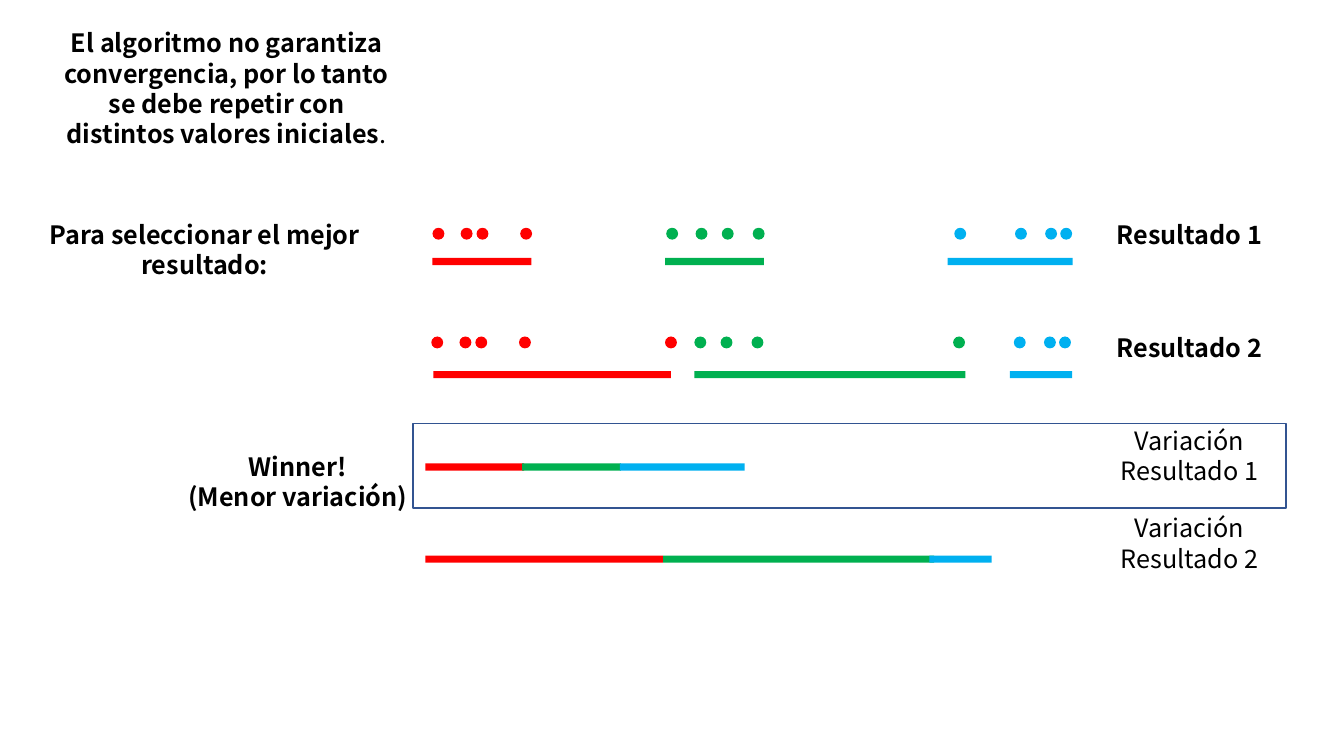
from dataclasses import dataclass

import pptx
import pptx.dml.color
import pptx.enum.shapes
import pptx.enum.text
import pptx.shapes.autoshape
import pptx.slide
import pptx.util

Cm = pptx.util.Cm
Pt = pptx.util.Pt
RGBColor = pptx.dml.color.RGBColor
Shape = pptx.enum.shapes.MSO_SHAPE

RED = RGBColor(0xFF, 0x00, 0x00)
GREEN = RGBColor(0x00, 0xB0, 0x50)
BLUE = RGBColor(0x00, 0xB0, 0xF0)
BLACK = RGBColor(0x00, 0x00, 0x00)
FRAME_BLUE = RGBColor(0x32, 0x54, 0x91)
CLUSTER_COLORS = (RED, GREEN, BLUE)

FONT = "Noto Sans CJK SC"
DOT_SIZE = 0.3
BAR_HEIGHT = 0.18
DOT_LEFTS = (10.9, 11.61, 12.01, 13.11, 16.79, 17.53,
             18.19, 18.97, 24.05, 25.58, 26.34, 26.72)
LABEL_LEFT, LABEL_WIDTH = 27.53, 4.9


@dataclass(frozen=True)
class Run:
    text: str
    bold: bool = True


@dataclass(frozen=True)
class Label:
    left: float
    top: float
    width: float
    height: float
    paragraphs: tuple[tuple[Run, ...], ...]


@dataclass(frozen=True)
class Result:
    """One clustering: its dots, the span of each cluster, and the spans laid end to end."""
    dot_shift: float
    dot_top: float
    cluster_sizes: tuple[int, ...]
    widths: tuple[float, ...]
    span_top: float
    span_lefts: tuple[float, ...]
    variation_top: float
    variation_lefts: tuple[float, ...]


RESULTS = (
    Result(0, 5.74, (4, 4, 4), (2.49, 2.49, 3.15),
           6.5, (10.9, 16.76, 23.88), 11.68, (10.72, 13.16, 15.62)),
    Result(-0.03, 8.48, (5, 4, 3), (5.99, 6.83, 1.57),
           9.35, (10.92, 17.5, 25.45), 14.0, (10.72, 16.71, 23.42)),
)

LABELS = (
    Label(1.19, 0.58, 9.04, 3.33, ((
        Run("El algoritmo no garantiza convergencia, por lo tanto "
            "se debe repetir con distintos valores iniciales"),
        Run(".", bold=False)),)),
    Label(0.64, 5.41, 9.04, 1.8, ((Run("Para seleccionar el mejor resultado:"),),)),
    Label(LABEL_LEFT, 5.41, LABEL_WIDTH, 1.02, ((Run("Resultado 1"),),)),
    Label(LABEL_LEFT, 8.26, LABEL_WIDTH, 1.02, ((Run("Resultado 2"),),)),
    Label(LABEL_LEFT, 10.59, LABEL_WIDTH, 1.8, ((Run("Variación Resultado 1", bold=False),),)),
    Label(LABEL_LEFT, 12.8, LABEL_WIDTH, 1.8, ((Run("Variación Resultado 2", bold=False),),)),
    Label(4.42, 11.25, 6.17, 1.8, ((Run("Winner!"),), (Run("(Menor variación)"),))),
)


def add_plain_shape(slide: pptx.slide.Slide, kind: Shape, left: float, top: float,
                    width: float, height: float) -> pptx.shapes.autoshape.Shape:
    shape = slide.shapes.add_shape(kind, Cm(left), Cm(top), Cm(width), Cm(height))
    shape.shadow.inherit = False
    return shape


def add_filled_shape(slide: pptx.slide.Slide, kind: Shape, left: float, top: float,
                     width: float, height: float, color: RGBColor) -> None:
    shape = add_plain_shape(slide, kind, left, top, width, height)
    shape.fill.solid()
    shape.fill.fore_color.rgb = color
    shape.line.fill.background()


def add_bars(slide: pptx.slide.Slide, lefts: tuple[float, ...], top: float,
             widths: tuple[float, ...]) -> None:
    for left, width, color in zip(lefts, widths, CLUSTER_COLORS):
        add_filled_shape(slide, Shape.RECTANGLE, left, top, width, BAR_HEIGHT, color)


def add_result(slide: pptx.slide.Slide, result: Result) -> None:
    dot_colors = [color for color, size in zip(CLUSTER_COLORS, result.cluster_sizes)
                  for _ in range(size)]
    for left, color in zip(DOT_LEFTS, dot_colors):
        add_filled_shape(slide, Shape.OVAL, left + result.dot_shift, result.dot_top,
                         DOT_SIZE, DOT_SIZE, color)
    add_bars(slide, result.span_lefts, result.span_top, result.widths)
    add_bars(slide, result.variation_lefts, result.variation_top, result.widths)


def add_winner_frame(slide: pptx.slide.Slide) -> None:
    frame = add_plain_shape(slide, Shape.RECTANGLE, 10.41, 10.67, 22.0, 2.13)
    frame.fill.background()
    frame.line.color.rgb = FRAME_BLUE
    frame.line.width = Pt(1)


def add_label(slide: pptx.slide.Slide, label: Label) -> None:
    box = slide.shapes.add_textbox(Cm(label.left), Cm(label.top),
                                   Cm(label.width), Cm(label.height))
    text_frame = box.text_frame
    text_frame.word_wrap = True
    for index, runs in enumerate(label.paragraphs):
        paragraph = text_frame.add_paragraph() if index else text_frame.paragraphs[0]
        paragraph.alignment = pptx.enum.text.PP_ALIGN.CENTER
        paragraph.line_spacing = Pt(21.5)
        for part in runs:
            run = paragraph.add_run()
            run.text = part.text
            run.font.name = FONT
            run.font.size = Pt(18)
            run.font.bold = part.bold
            run.font.color.rgb = BLACK


def main() -> None:
    presentation = pptx.Presentation()
    presentation.slide_width = Cm(33.87)
    presentation.slide_height = Cm(19.05)
    slide = presentation.slides.add_slide(presentation.slide_layouts[6])
    for result in RESULTS:
        add_result(slide, result)
    add_winner_frame(slide)
    for label in LABELS:
        add_label(slide, label)
    presentation.save("out.pptx")


if __name__ == "__main__":
    main()
